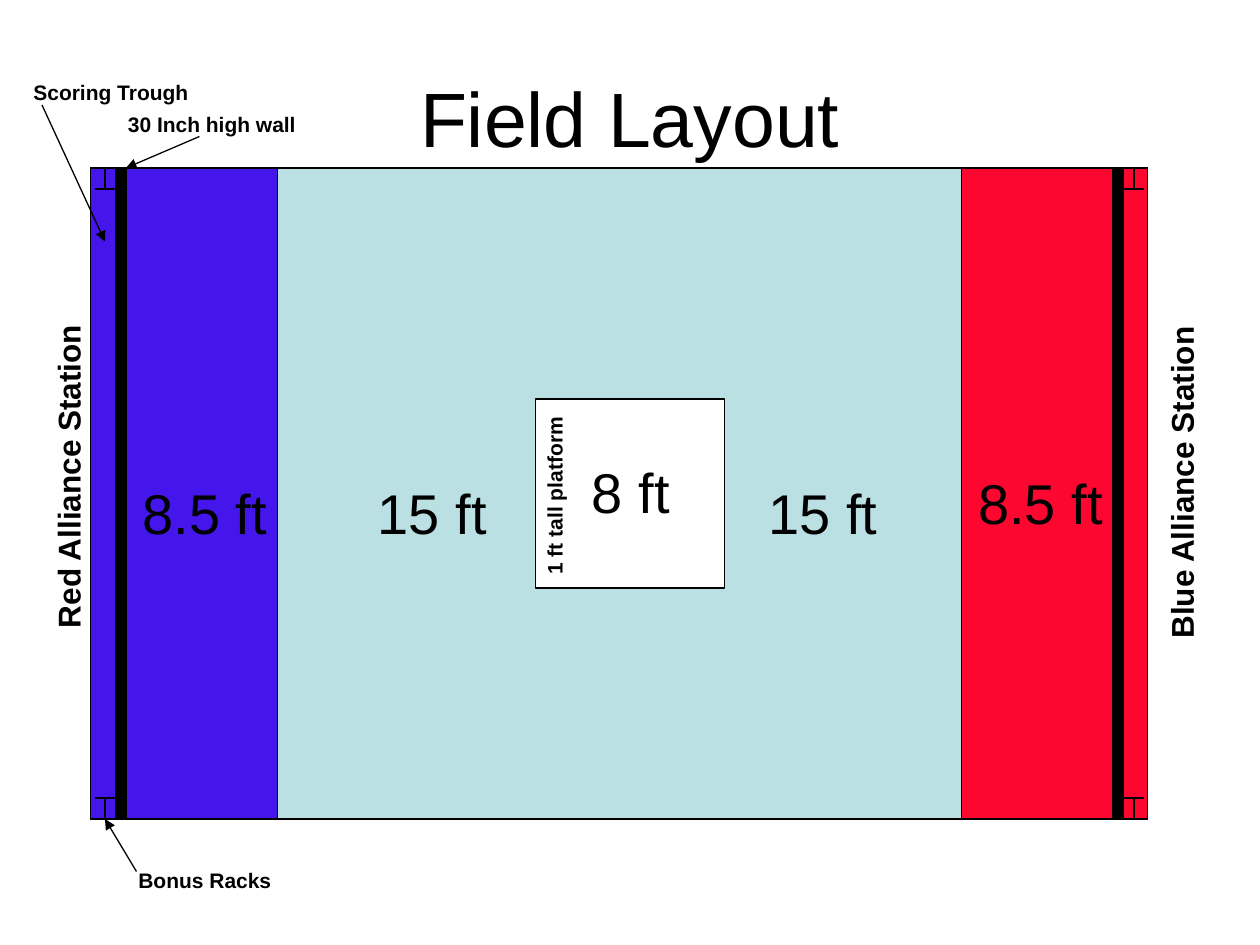
"""Build the Field Layout slide on a grid of 120 columns by 90 rows."""
from itertools import product

from lxml.etree import SubElement
from pptx import Presentation
from pptx.dml.color import RGBColor
from pptx.enum.shapes import MSO_CONNECTOR, MSO_SHAPE
from pptx.enum.text import MSO_ANCHOR, PP_ALIGN
from pptx.oxml.ns import qn
from pptx.util import Inches, Pt

THEME = {
    "font": "Arial",
    "ink": RGBColor.from_string("000000"),
    "carpet": RGBColor.from_string("BBE0E3"),
    "blue": RGBColor.from_string("4416EC"),
    "red": RGBColor.from_string("FB0730"),
    "platform": RGBColor.from_string("FFFFFF"),
    "title": Pt(44),
    "distance": Pt(32),
    "station": Pt(18),
    "note": Pt(12),
    "stroke": Pt(0.75),
}
BOLD_STYLES = ("station", "note")

deck = Presentation()
deck.slide_width, deck.slide_height = Inches(10), Inches(7.5)
page = deck.slides.add_slide(deck.slide_layouts[6])
CELL = deck.slide_width / 120


def add_label(words, style, area, rotation=0, align=PP_ALIGN.LEFT, anchor=MSO_ANCHOR.TOP):
    box = page.shapes.add_textbox(*(round(value * CELL) for value in area))
    box.rotation = rotation
    frame_format = {"word_wrap": True, "vertical_anchor": anchor}
    for name, value in frame_format.items():
        setattr(box.text_frame, name, value)
    para = box.text_frame.paragraphs[0]
    para.alignment = align
    span = para.add_run()
    span.text = words
    span.font.color.rgb = THEME["ink"]
    font_format = {"name": THEME["font"], "size": THEME[style], "bold": style in BOLD_STYLES}
    for name, value in font_format.items():
        setattr(span.font, name, value)


def add_line(start, end, arrow=False):
    points = (round(value * CELL) for value in (*start, *end))
    line = page.shapes.add_connector(MSO_CONNECTOR.STRAIGHT, *points)
    line.line.color.rgb = THEME["ink"]
    line.line.width = THEME["stroke"]
    if arrow:
        SubElement(line.line._get_or_add_ln(), qn("a:tailEnd"), type="triangle")
    SubElement(line._element.spPr, qn("a:effectLst"))


FIELD_LEFT, FIELD_RIGHT = 8.64, 109.32
FIELD_TOP, FIELD_BOTTOM = 16, 78
ZONE, WALL, RACK = 17.76, 1, 2
FIELD_HEIGHT = FIELD_BOTTOM - FIELD_TOP

add_label("Field Layout", "title", (6, 3.6, 108, 15), align=PP_ALIGN.CENTER, anchor=MSO_ANCHOR.MIDDLE)

areas = [
    ("carpet", FIELD_LEFT, FIELD_TOP, FIELD_RIGHT - FIELD_LEFT, FIELD_HEIGHT),
    ("blue", FIELD_LEFT, FIELD_TOP, ZONE, FIELD_HEIGHT),
    ("red", FIELD_RIGHT - ZONE, FIELD_TOP, ZONE, FIELD_HEIGHT),
    ("platform", 51, 38, 18, 18),
    ("ink", 11, FIELD_TOP, WALL, FIELD_HEIGHT),
    ("ink", 106, FIELD_TOP, WALL, FIELD_HEIGHT),
]
for color, *area in areas:
    zone = page.shapes.add_shape(MSO_SHAPE.RECTANGLE, *(round(value * CELL) for value in area))
    zone.shadow.inherit = False
    zone.fill.solid()
    zone.fill.fore_color.rgb = THEME[color]
    zone.line.color.rgb = THEME["ink"]
    zone.line.width = THEME["stroke"]

distances = [
    ("8.5 ft", 12.4, 45, 15.6),
    ("15 ft", 34.8, 45, 13.1),
    ("8 ft", 55.2, 43, 11.8),
    ("15 ft", 72, 45, 13.1),
    ("8.5 ft", 92, 44, 14.6),
]
for words, left, top, width in distances:
    add_label(words, "distance", (left, top, width, 7.7))

upright_labels = [
    ("Red Alliance Station", "station", (-11.5, 40.6, 36, 4.8)),
    ("Blue Alliance Station", "station", (96, 43.1, 33, 4.8)),
    ("1 ft tall platform", "note", (43.8, 45.1, 18, 3.6)),
]
for words, style, area in upright_labels:
    add_label(words, style, area, rotation=270)

for center, (edge, inward) in product((10, 108), ((FIELD_TOP, RACK), (FIELD_BOTTOM, -RACK))):
    bar = edge + inward
    add_line((center - RACK / 2, bar), (center + RACK / 2, bar))
    add_line((center, edge), (center, bar))

callouts = [
    ("Scoring Trough", (2, 7, 22, 3.6), (4, 10), (10, 23)),
    ("30 Inch high wall", (11, 10, 22, 3.6), (19, 13), (12, FIELD_TOP)),
    ("Bonus Racks", (12, 82, 23, 3.6), (13, 83), (10, FIELD_BOTTOM)),
]
for words, area, start, end in callouts:
    add_label(words, "note", area)
    add_line(start, end, arrow=True)

deck.save("out.pptx")
